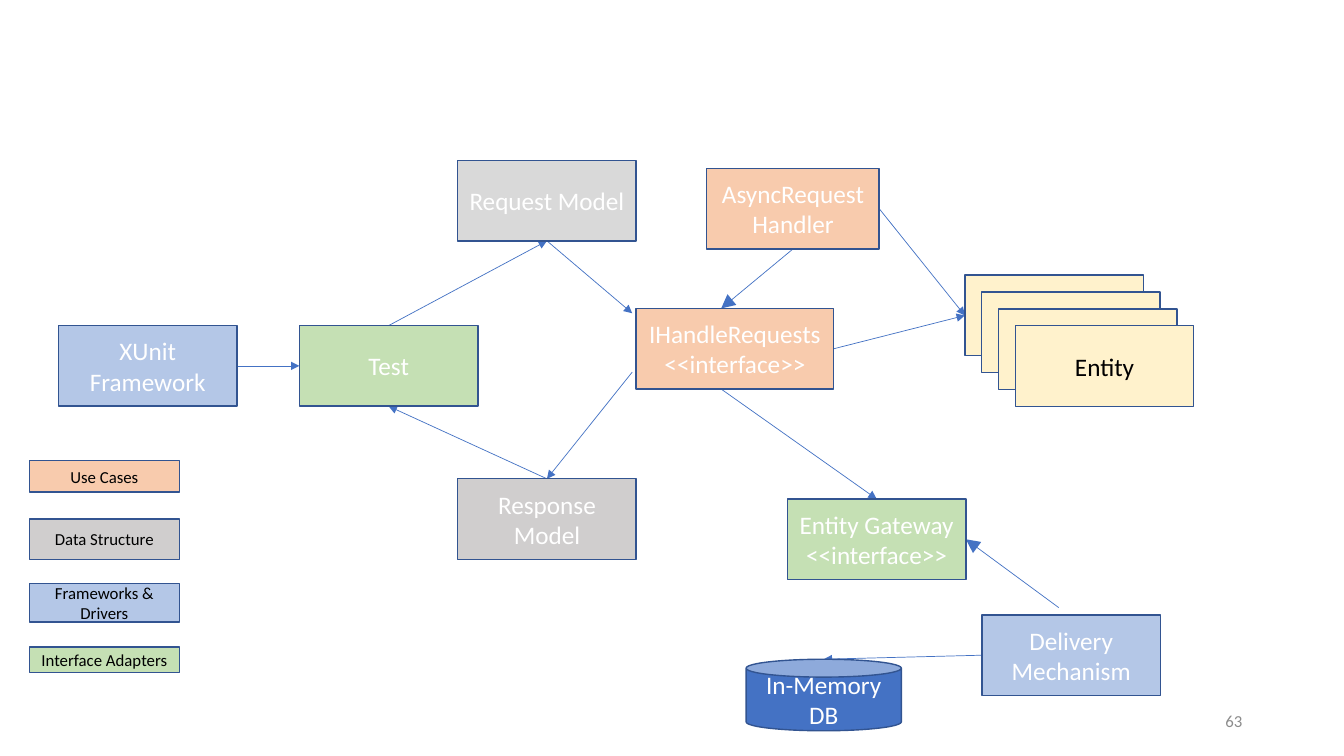
"""Build the request-handling architecture diagram slide."""
from lxml import etree
from pptx import Presentation, util as u
from pptx.dml.color import RGBColor
from pptx.enum import shapes, text
from pptx.oxml.ns import qn

SLIDE_WIDTH, SLIDE_HEIGHT = 13.33, 7.5
BOX_WIDTH, BOX_HEIGHT = 1.77, 0.8
ORANGE, GREY, LIGHT_GREY = "F8CBAD", "D0CECE", "D9D9D9"
BLUE, GREEN, YELLOW = "B4C7E7", "C5E0B4", "FFF2CC"
STRONG_BLUE, OUTLINE, WHITE, BLACK = "4472C4", "325491", "FFFFFF", "000000"

ENTITY_COUNT, ENTITY_LEFT, ENTITY_TOP, ENTITY_STEP = 4, 9.57, 2.73, 0.167

BOXES = {
    "framework": ("XUnit\nFramework", 0.58, 3.23, BOX_WIDTH, BOX_HEIGHT, BLUE),
    "test": ("Test", 2.97, 3.23, BOX_WIDTH, BOX_HEIGHT, GREEN),
    "request": ("Request Model", 4.54, 1.59, BOX_WIDTH, BOX_HEIGHT, LIGHT_GREY),
    "response": ("Response Model", 4.54, 4.75, BOX_WIDTH, BOX_HEIGHT, GREY),
    "interface": ("IHandleRequests\n<<interface>>", 6.31, 3.06, 1.96, BOX_HEIGHT, ORANGE),
    "handler": ("AsyncRequestHandler", 7.01, 1.67, 1.71, BOX_HEIGHT, ORANGE),
    "gateway": ("Entity Gateway\n<<interface>>", 7.81, 4.95, BOX_WIDTH, BOX_HEIGHT, GREEN),
    "delivery": ("Delivery Mechanism", 9.74, 6.1, BOX_WIDTH, BOX_HEIGHT, BLUE),
    "database": ("In-Memory\nDB", 7.4, 6.54, 1.54, 0.71, STRONG_BLUE),
    "entity": ("", ENTITY_LEFT, ENTITY_TOP, BOX_WIDTH, BOX_HEIGHT, YELLOW),
}

LEGEND_LEFT, LEGEND_WIDTH = 0.29, 1.49
LEGEND = [
    ("Use Cases", 4.57, 0.31, ORANGE),
    ("Data Structure", 5.15, 0.4, GREY),
    ("Frameworks & Drivers", 5.79, 0.38, BLUE),
    ("Interface Adapters", 6.42, 0.25, GREEN),
]

TOP, LEFT, BOTTOM, RIGHT = (0.5, 0), (0, 0.5), (0.5, 1), (1, 0.5)
ARROWS = [
    ("framework", RIGHT, "test", LEFT, "med"),
    ("test", TOP, "request", BOTTOM, "med"),
    ("request", BOTTOM, "interface", (-0.02, 0.06), "med"),
    ("interface", (-0.02, 0.79), "response", TOP, "med"),
    ("response", TOP, "test", BOTTOM, "med"),
    ("handler", BOTTOM, "interface", (0.43, 0), "lg"),
    ("handler", RIGHT, "entity", LEFT, "med"),
    ("interface", RIGHT, "entity", LEFT, "med"),
    ("interface", (0.43, 1), "gateway", TOP, "med"),
    ("delivery", (0.43, -0.09), "gateway", RIGHT, "lg"),
    ("delivery", LEFT, "database", TOP, "med"),
]


def color(value):
    return RGBColor.from_string(value)


def write(shape, words, size, ink, align=text.PP_ALIGN.CENTER):
    frame = shape.text_frame
    frame.word_wrap = True
    frame.vertical_anchor = text.MSO_ANCHOR.MIDDLE
    frame.text = words
    for paragraph in frame.paragraphs:
        paragraph.alignment = align
        paragraph.font.name = "Calibri"
        paragraph.font.size = u.Pt(size)
        paragraph.font.color.rgb = color(ink)


def add_box(slide, words, left, top, width, height, fill, size=18, ink=WHITE,
            kind=shapes.MSO_SHAPE.RECTANGLE):
    shape = slide.shapes.add_shape(kind, *map(u.Inches, (left, top, width, height)))
    shape.shadow.inherit = False
    shape.fill.solid()
    shape.fill.fore_color.rgb = color(fill)
    shape.line.color.rgb = color(OUTLINE)
    shape.line.width = u.Pt(1)
    if words:
        write(shape, words, size, ink)


def anchor(name, shares):
    _, left, top, width, height, _ = BOXES[name]
    return u.Inches(left + shares[0] * width), u.Inches(top + shares[1] * height)


def add_arrow(slide, source, start, target, end, head_size):
    arrow = slide.shapes.add_connector(
        shapes.MSO_CONNECTOR.STRAIGHT, *anchor(source, start), *anchor(target, end))
    arrow.line.color.rgb = color(STRONG_BLUE)
    arrow.line.width = u.Pt(0.5)
    etree.SubElement(arrow.line._get_or_add_ln(), qn("a:tailEnd"),
                     type="triangle", w=head_size, len=head_size)
    etree.SubElement(arrow._element.spPr, qn("a:effectLst"))


def main():
    presentation = Presentation()
    presentation.slide_width = u.Inches(SLIDE_WIDTH)
    presentation.slide_height = u.Inches(SLIDE_HEIGHT)
    slide = presentation.slides.add_slide(presentation.slide_layouts[6])

    for arrow in ARROWS:
        add_arrow(slide, *arrow)
    for name, box in BOXES.items():
        kind = shapes.MSO_SHAPE.CAN if name == "database" else shapes.MSO_SHAPE.RECTANGLE
        add_box(slide, *box, kind=kind)
    for index in range(1, ENTITY_COUNT):
        shift = index * ENTITY_STEP
        words = "Entity" if index == ENTITY_COUNT - 1 else ""
        add_box(slide, words, ENTITY_LEFT + shift, ENTITY_TOP + shift,
                BOX_WIDTH, BOX_HEIGHT, YELLOW, ink=BLACK)
    for words, top, height, fill in LEGEND:
        add_box(slide, words, LEGEND_LEFT, top, LEGEND_WIDTH, height, fill, 12, BLACK)

    number = slide.shapes.add_textbox(*map(u.Inches, (9.42, 6.95, 3, 0.4)))
    write(number, "63", 12, "8C8C8C", text.PP_ALIGN.RIGHT)
    presentation.save("out.pptx")


if __name__ == "__main__":
    main()
